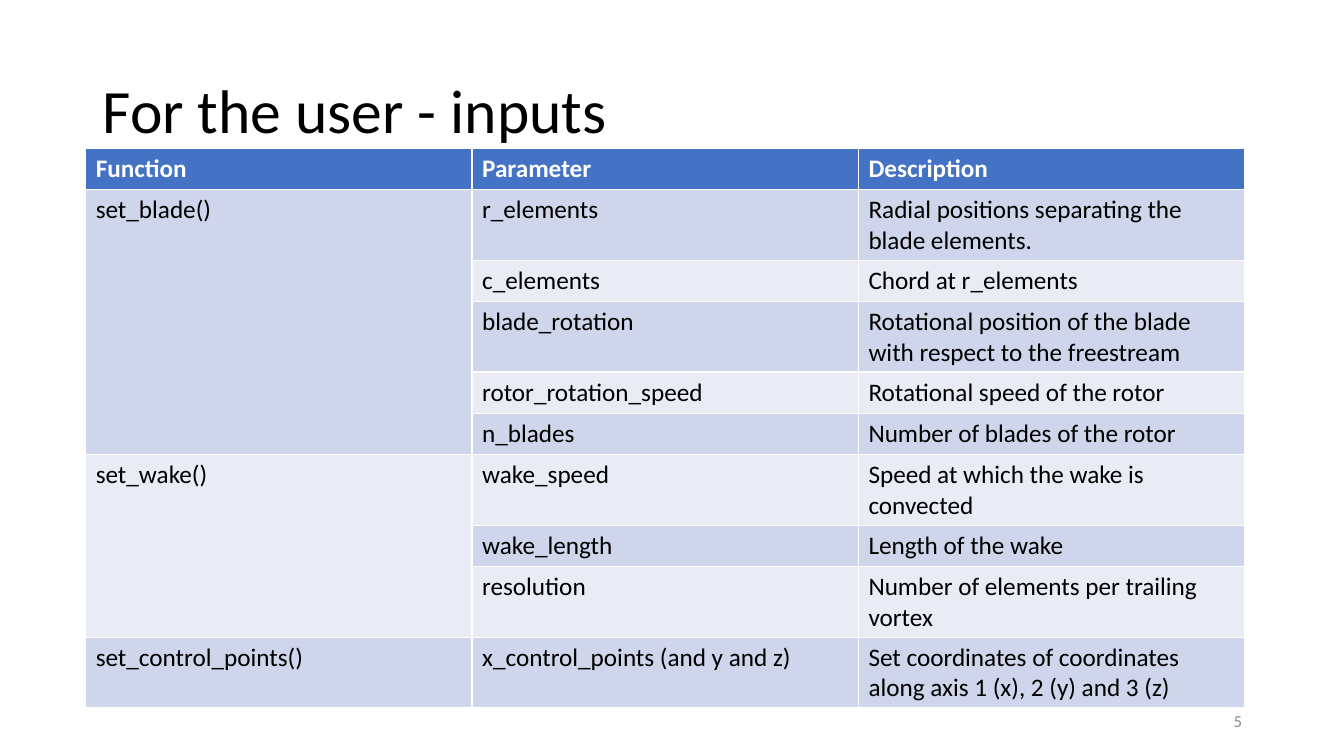
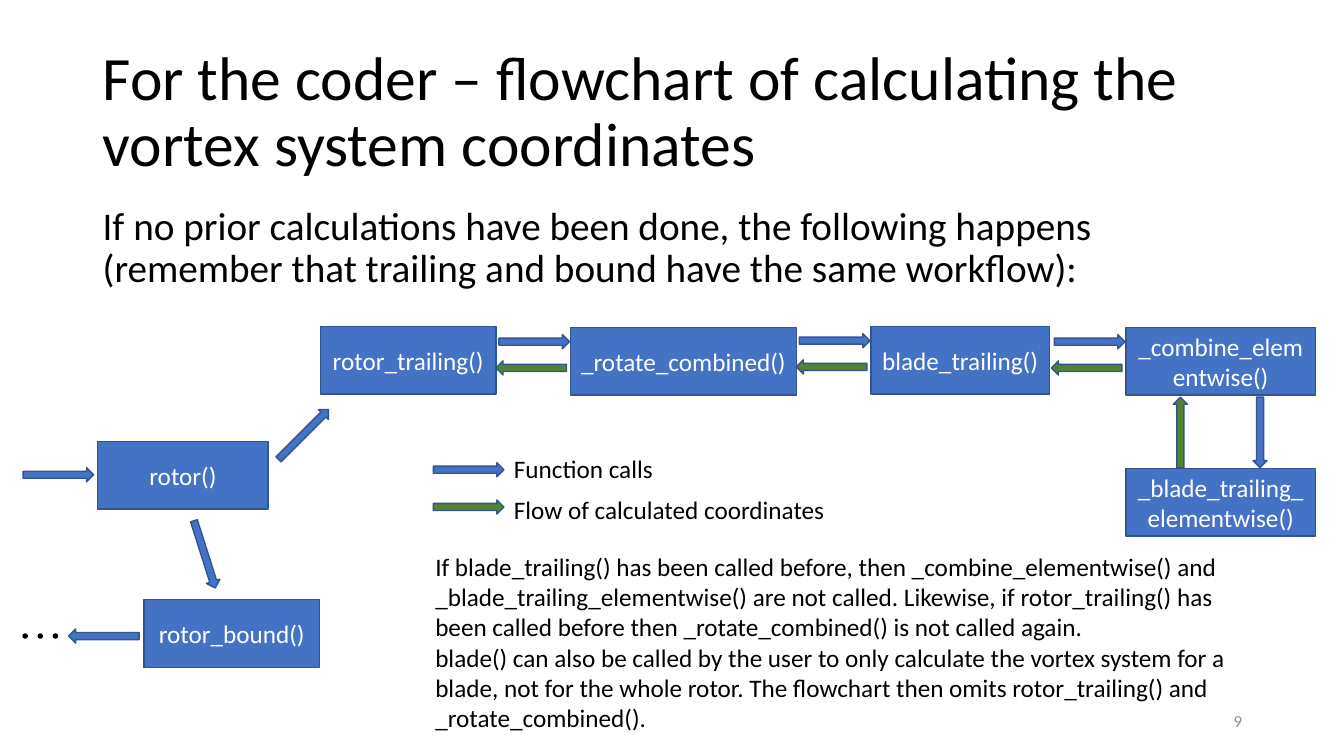
from itertools import pairwise

from pptx import Presentation
from pptx.dml.color import RGBColor
from pptx.enum.shapes import MSO_SHAPE as Preset
from pptx.enum.text import MSO_ANCHOR as Anchor, PP_ALIGN as Align
from pptx.util import Inches, Pt

CELL = Inches(0.1)
COLUMNS, ROWS = 133.33, 75
BLACK, WHITE, GREY = "000000", "FFFFFF", "8C8C8C"
BLUE, GREEN, OUTLINE = "4472C4", "548235", "325491"
BANDS = ["CFD5EA", "E9EBF5"]
ARROW_LENGTH, ARROW_WIDTH = 7, 1.4
BOX_HEIGHT = 6.7
MARGIN, CONTENT_WIDTH = 9.2, 115


def write_text(frame, lines, size=18, color=BLACK, bold=False, wrap=True,
               anchor=Anchor.TOP, **paragraph_format):
    frame.word_wrap = wrap
    frame.vertical_anchor = anchor
    for index, line in enumerate(lines):
        paragraph = frame.add_paragraph() if index else frame.paragraphs[0]
        for name, value in paragraph_format.items():
            setattr(paragraph, name, value)
        run = paragraph.add_run()
        run.text = line
        font_format = {"name": "Calibri", "size": Pt(size), "bold": bold}
        for name, value in font_format.items():
            setattr(run.font, name, value)
        run.font.color.rgb = RGBColor.from_string(color)


def add_preset(slide, preset, area, fill=BLUE, line=OUTLINE, rotation=0):
    shape = slide.shapes.add_shape(preset, *[round(n * CELL) for n in area])
    shape.shadow.inherit = False
    shape.rotation = rotation
    shape.fill.solid()
    shape.fill.fore_color.rgb = RGBColor.from_string(fill)
    shape.line.color.rgb = RGBColor.from_string(line)
    shape.line.width = Pt(1)
    return shape


presentation = Presentation()
presentation.slide_width = round(COLUMNS * CELL)
presentation.slide_height = ROWS * CELL
blank_layout = presentation.slide_layouts[6]

slides = []
for title, number in [
    ("For the user - inputs", "5"),
    ("For the coder – flowchart of calculating the vortex system coordinates", "9"),
]:
    slide = presentation.slides.add_slide(blank_layout)
    slides.append(slide)
    for text, area, text_format in [
        (title, (MARGIN, 4, CONTENT_WIDTH, 14.5),
         {"size": 44, "line_spacing": 0.9}),
        (number, (94.2, 69.5, 30, 4),
         {"size": 12, "color": GREY, "alignment": Align.RIGHT}),
    ]:
        shape = slide.shapes.add_textbox(*[round(n * CELL) for n in area])
        write_text(shape.text_frame, [text], anchor=Anchor.MIDDLE, **text_format)
inputs_slide, flowchart_slide = slides

functions = {
    "set_blade()": [
        ("r_elements", "Radial positions separating the blade elements."),
        ("c_elements", "Chord at r_elements"),
        ("blade_rotation",
         "Rotational position of the blade with respect to the freestream"),
        ("rotor_rotation_speed", "Rotational speed of the rotor"),
        ("n_blades", "Number of blades of the rotor"),
    ],
    "set_wake()": [
        ("wake_speed", "Speed at which the wake is convected"),
        ("wake_length", "Length of the wake"),
        ("resolution", "Number of elements per trailing vortex"),
    ],
    "set_control_points()": [
        ("x_control_points (and y and z)",
         "Set coordinates of coordinates along axis 1 (x), 2 (y) and 3 (z)"),
    ],
}
table_rows = [("Function", "Parameter", "Description")]
merges = []
for function, parameters in functions.items():
    first = len(table_rows)
    for index, parameter in enumerate(parameters):
        table_rows.append(("" if index else function, *parameter))
    merges.append((first, len(table_rows) - 1))

table_area = (8.5, 14.7, CONTENT_WIDTH, 4.1 * len(table_rows))
table = inputs_slide.shapes.add_table(
    len(table_rows), 3, *[round(n * CELL) for n in table_area]).table
for row, texts in enumerate(table_rows):
    header = row == 0
    for column, text in enumerate(texts):
        cell = table.cell(row, column)
        cell.fill.solid()
        fill = BLUE if header else BANDS[(row - 1) % 2]
        cell.fill.fore_color.rgb = RGBColor.from_string(fill)
        if text:
            write_text(cell.text_frame, [text], bold=header,
                       color=WHITE if header else BLACK)
for first, last in merges:
    if last > first:
        table.cell(first, 0).merge(table.cell(last, 0))

body = flowchart_slide.shapes.add_textbox(
    *[round(n * CELL) for n in (MARGIN, 20, CONTENT_WIDTH, 47.6)])
write_text(body.text_frame, [
    "If no prior calculations have been done, the following happens "
    "(remember that trailing and bound have the same workflow):",
], size=28, line_spacing=0.9, space_before=Pt(10))

call_chain = [
    ("rotor_trailing()", 31.8, 32.4, 17.4),
    ("_rotate_combined()", 56.6, 32.5, 22.4),
    ("blade_trailing()", 86.4, 32.4, 17.7),
    ("_combine_elementwise()", 111.7, 32.5, 18.8),
]
other_boxes = [
    ("rotor()", 9.7, 43.8, 16.9),
    ("rotor_bound()", 14.3, 59.5, 17.4),
    ("_blade_trailing_elementwise()", 111.7, 46.5, 18.8),
]
for name, left, top, width in call_chain + other_boxes:
    box = add_preset(flowchart_slide, Preset.RECTANGLE,
                     (left, top, width, BOX_HEIGHT))
    write_text(box.text_frame, [name], color=WHITE, anchor=Anchor.MIDDLE,
               alignment=Align.CENTER)

arrows = [
    (2.3, 46.4, 0, BLUE),
    (26.6, 42.4, 315, BLUE),
    (16.8, 54.3, 72.4, BLUE),
    (6.8, 62.4, 180, BLUE),
    (121.5, 42.2, 90, BLUE),
    (113.6, 42.2, 270, GREEN),
]
for caller, called in pairwise(call_chain):
    left, top = called[1] - 7.1, called[2] + 0.7
    arrows += [(left, top, 0, BLUE), (left - 0.3, top + 2.6, 180, GREEN)]

legend = [
    ("Function calls", 44.5, 15.9, 45.9, BLUE),
    ("Flow of calculated coordinates", 48.5, 33, 49.6, GREEN),
]
for text, top, width, arrow_top, color in legend:
    arrows.append((43, arrow_top, 0, color))
    label = flowchart_slide.shapes.add_textbox(
        *[round(n * CELL) for n in (50, top, width, 4)])
    write_text(label.text_frame, [text], wrap=False)

for left, top, rotation, color in arrows:
    add_preset(flowchart_slide, Preset.RIGHT_ARROW,
               (left, top, ARROW_LENGTH, ARROW_WIDTH), color, rotation=rotation)

for index in range(3):
    add_preset(flowchart_slide, Preset.OVAL,
               (2.3 + 1.5 * index, 62.9, 0.4, 0.4), BLACK, BLACK)

remarks = flowchart_slide.shapes.add_textbox(
    *[round(n * CELL) for n in (42.2, 54.2, 81.3, 19.2)])
write_text(remarks.text_frame, [
    "If blade_trailing() has been called before, then _combine_elementwise() and",
    "_blade_trailing_elementwise() are not called. Likewise, if rotor_trailing() has",
    "been called before then _rotate_combined() is not called again.",
    "blade() can also be called by the user to only calculate the vortex system for a",
    "blade, not for the whole rotor. The flowchart then omits rotor_trailing() and",
    "_rotate_combined().",
], wrap=False)

presentation.save("out.pptx")
